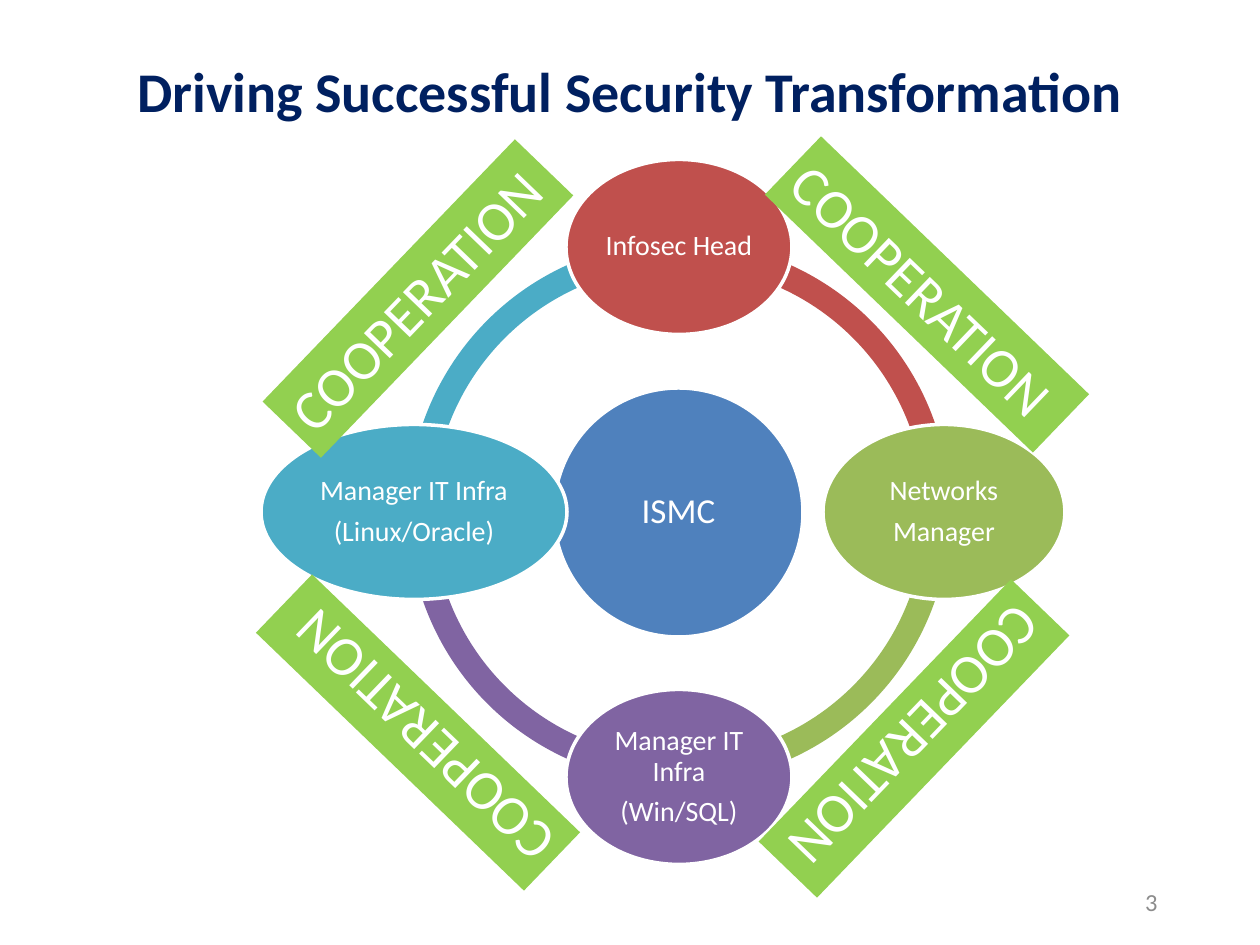
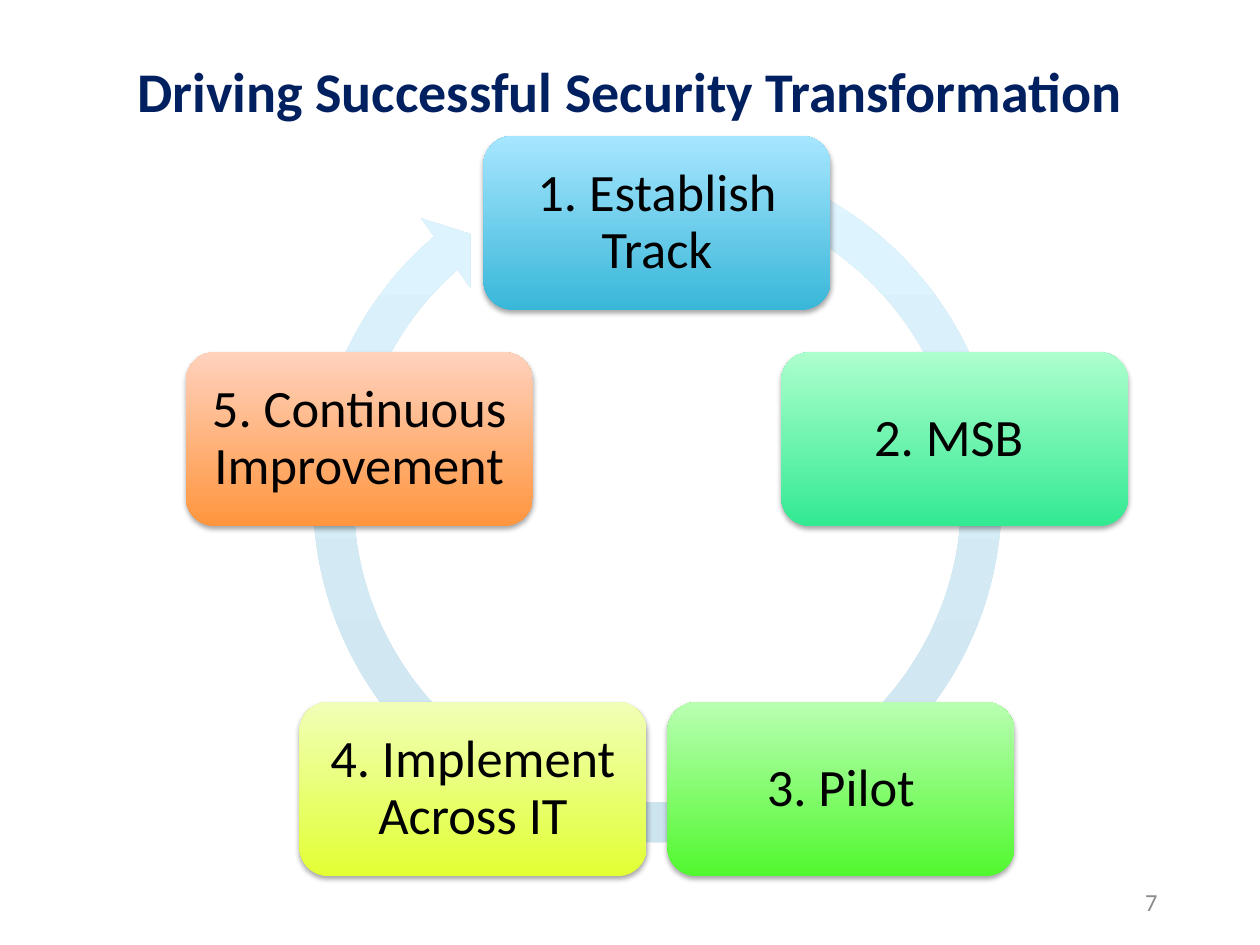
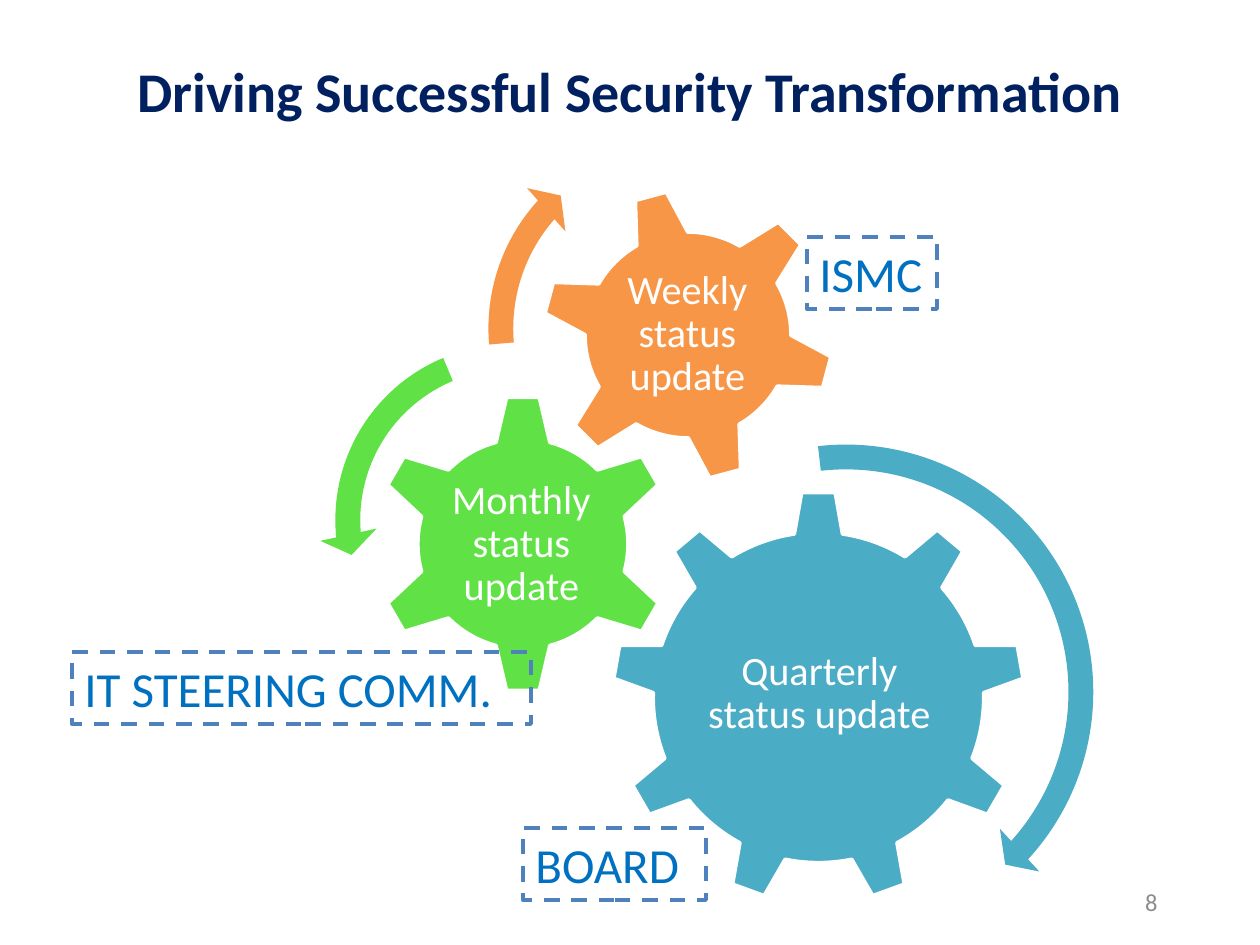
from math import cos, radians, sin

from lxml import etree
from pptx import Presentation
from pptx.dml.color import RGBColor
from pptx.enum.dml import MSO_LINE
from pptx.enum.shapes import MSO_SHAPE
from pptx.enum.text import MSO_ANCHOR, PP_ALIGN
from pptx.oxml.ns import qn
from pptx.util import Pt

ARC, OVAL, CARD = MSO_SHAPE.BLOCK_ARC, MSO_SHAPE.OVAL, MSO_SHAPE.ROUNDED_RECTANGLE
GEAR6, GEAR9 = MSO_SHAPE.GEAR_6, MSO_SHAPE.GEAR_9
TURN, LEFT_TURN = MSO_SHAPE.CIRCULAR_ARROW, MSO_SHAPE.LEFT_CIRCULAR_ARROW
LEFT, CENTER, RIGHT = PP_ALIGN.LEFT, PP_ALIGN.CENTER, PP_ALIGN.RIGHT
TOP, MIDDLE = MSO_ANCHOR.TOP, MSO_ANCHOR.MIDDLE
DASH = MSO_LINE.DASH

PX = 914400 / 126  # EMU per px


class Theme:
    font = "Calibri"
    navy, grey, white, black = "002060", "8C8C8C", "FFFFFF", "000000"
    blue, red, olive = "4F81BD", "C0504D", "9BBB59"
    purple, teal, orange = "8064A2", "4BACC6", "F79646"
    lime, green, label = "92D050", "60E146", "0070C0"
    ring = ("CCE4EE", "DFF5FF")
    title_size, page_size, banner_size, label_size = 32, 14, 32, 28
    hub_size, node_size, step_size, gear_size = 20, 16, 30, 23


def add(s, kind, box, fill=None, line=None, adj=()):
    """Add a preset shape, or a text box when kind is None; a pair as fill is a gradient, bottom to top."""
    box = [round(v * PX) for v in box]
    if kind is None:
        sp = s.shapes.add_textbox(*box)
    else:
        sp = s.shapes.add_shape(kind, *box)
        sp.shadow.inherit = False
    for i, value in enumerate(adj):
        sp.adjustments[i] = value
    if isinstance(fill, tuple):
        sp.fill.gradient()
        sp.fill.gradient_angle = 90
        for stop, colour in zip(sp.fill.gradient_stops, fill):
            stop.color.rgb = RGBColor.from_string(colour)
    elif fill:
        sp.fill.solid()
        sp.fill.fore_color.rgb = RGBColor.from_string(fill)
    if line:
        colour, width = line
        sp.line.color.rgb = RGBColor.from_string(colour)
        sp.line.width = Pt(width)
    else:
        sp.line.fill.background()
    return sp


def write(sp, lines, size, colour, align=LEFT, anchor=TOP, inset=None, bold=False):
    """Fill a shape with one paragraph per line; an inset in px also sets tight diagram spacing."""
    tf = sp.text_frame
    tf.word_wrap = True
    tf.vertical_anchor = anchor
    if inset is not None:
        tf.margin_left = tf.margin_right = tf.margin_top = tf.margin_bottom = round(inset * PX)
    tf.text = lines
    for p in tf.paragraphs:
        p.alignment = align
        p.font.name = Theme.font
        p.font.size = Pt(size)
        p.font.bold = bold
        p.font.color.rgb = RGBColor.from_string(colour)
        if inset is not None:
            p.line_spacing = 0.9
            p.space_after = Pt(0.35 * size)


prs = Presentation()
prs.slide_width, prs.slide_height = round(1260 * PX), round(945 * PX)

slides = []
for page in ("3", "7", "8"):
    s = prs.slides.add_slide(prs.slide_layouts[5])
    title = s.shapes.title
    title.left, title.top, title.width, title.height = [round(v * PX) for v in (63, 29, 1134, 123)]
    write(title, "Driving Successful Security Transformation", Theme.title_size, Theme.navy,
          CENTER, MIDDLE, bold=True)
    write(add(s, None, (921, 881, 249, 42)), page, Theme.page_size, Theme.grey, RIGHT, MIDDLE)
    slides.append(s)
team_slide, cycle_slide, gears_slide = slides

# Team around the ISMC hub
cx, cy, radius, node_h = 679, 512, 265, 175
outline = (Theme.white, 2)
nodes = [  # text, colour, width, angle clockwise from the right
    ("Infosec Head", Theme.red, 226, 270),
    ("Networks\nManager", Theme.olive, 242, 0),
    ("Manager IT Infra\n(Win/SQL)", Theme.purple, 226, 90),
    ("Manager IT Infra\n(Linux/Oracle)", Theme.teal, 306, 180),
]
for text, colour, w, angle in reversed(nodes):
    add(team_slide, ARC, (cx - 271, cy - 271, 542, 542), colour,
        adj=(angle * 0.6, (angle + 90) % 360 * 0.6, 0.046))
hub = add(team_slide, OVAL, (cx - 125, cy - 124, 249, 249), Theme.blue, outline)
write(hub, "ISMC", Theme.hub_size, Theme.white, CENTER, MIDDLE, inset=4)
for text, colour, w, angle in nodes:
    x = cx + radius * cos(radians(angle)) - w / 2
    y = cy + radius * sin(radians(angle)) - node_h / 2
    node = add(team_slide, OVAL, (x, y, w, node_h), colour, outline)
    write(node, text, Theme.node_size, Theme.white, CENTER, MIDDLE, inset=3)
for x, y, w, rotation in ((236, 258, 364, 313.9), (741, 254, 372, 43.9),
                          (732, 698, 364, 133.9), (232, 692, 372, 223.9)):
    banner = add(team_slide, None, (x, y, w, 81), Theme.lime)
    banner.rotation = rotation
    write(banner, "COOPERATION", Theme.banner_size, Theme.white)

# Five-step cycle
cx, cy, radius, card_w, card_h = 657, 536, 313, 347, 174
steps = [
    ("1. Establish Track", ("39B7D8", "A7E6FF")),
    ("2. MSB ", ("33E992", "ADFFCD")),
    ("3. Pilot", ("51F82F", "B9FFB2")),
    ("4. Implement Across IT", ("E2FF33", "F0FFB8")),
    ("5. Continuous Improvement", ("FF953E", "FFD2BD")),
]
add(cycle_slide, TURN, (291, 132, 733, 733), Theme.ring,
    adj=(0.055, 3.307, 137.535, 173.997, 0.058))
for i, (text, gradient) in enumerate(steps):
    angle = radians(360 / len(steps) * i - 90)
    x = cx + radius * cos(angle) - card_w / 2
    y = cy + radius * sin(angle) - card_h / 2
    card = add(cycle_slide, CARD, (x, y, card_w, card_h), gradient)
    effects = card._element.spPr.find(qn("a:effectLst"))
    shadow = etree.SubElement(effects, qn("a:outerShdw"), blurRad="40000", dist="23000",
                              dir="5400000", rotWithShape="0")
    black = etree.SubElement(shadow, qn("a:srgbClr"), val=Theme.black)
    etree.SubElement(black, qn("a:alpha"), val="35000")
    write(card, text, Theme.step_size, Theme.black, CENTER, MIDDLE, inset=15)

# Reporting gears
gears = [  # shape, x, y, size, rotation, colour, text, text box
    (GEAR9, 612, 491, 413, 0, Theme.teal, "Quarterly status update", (696, 588, 247, 212)),
    (GEAR6, 373, 394, 300, 0, Theme.green, "Monthly status update", (447, 470, 149, 149)),
    (GEAR6, 541, 188, 294, 345, Theme.orange, "Weekly status update", (605, 252, 165, 165)),
]
for kind, x, y, size, rotation, colour, text, text_box in gears:
    gear = add(gears_slide, kind, (x, y, size, size), colour, outline)
    gear.rotation = rotation
    write(add(gears_slide, None, text_box), text, Theme.gear_size, Theme.white,
          CENTER, MIDDLE, inset=4)
turns = [
    (TURN, 582, 428, 528, Theme.teal, (0.047, 2.99, 25.397, 158.115, 0.055)),
    (LEFT_TURN, 319, 328, 384, Theme.green, (0.065, 4.3, 104.891, 148.378, 0.075)),
    (TURN, 472, 122, 413, Theme.orange, (0.06, 3.941, 133.138, 105.082, 0.07)),
]
for kind, x, y, size, colour, adj in turns:
    add(gears_slide, kind, (x, y, size, size), colour, adj=adj)
for text, x, y, w in (("ISMC", 807, 237, 130), ("IT STEERING COMM.", 72, 652, 459),
                      ("BOARD", 523, 828, 183)):
    label = add(gears_slide, None, (x, y, w, 72), line=(Theme.blue, 2.25))
    label.line.dash_style = DASH
    write(label, text, Theme.label_size, Theme.label)

prs.save("out.pptx")
